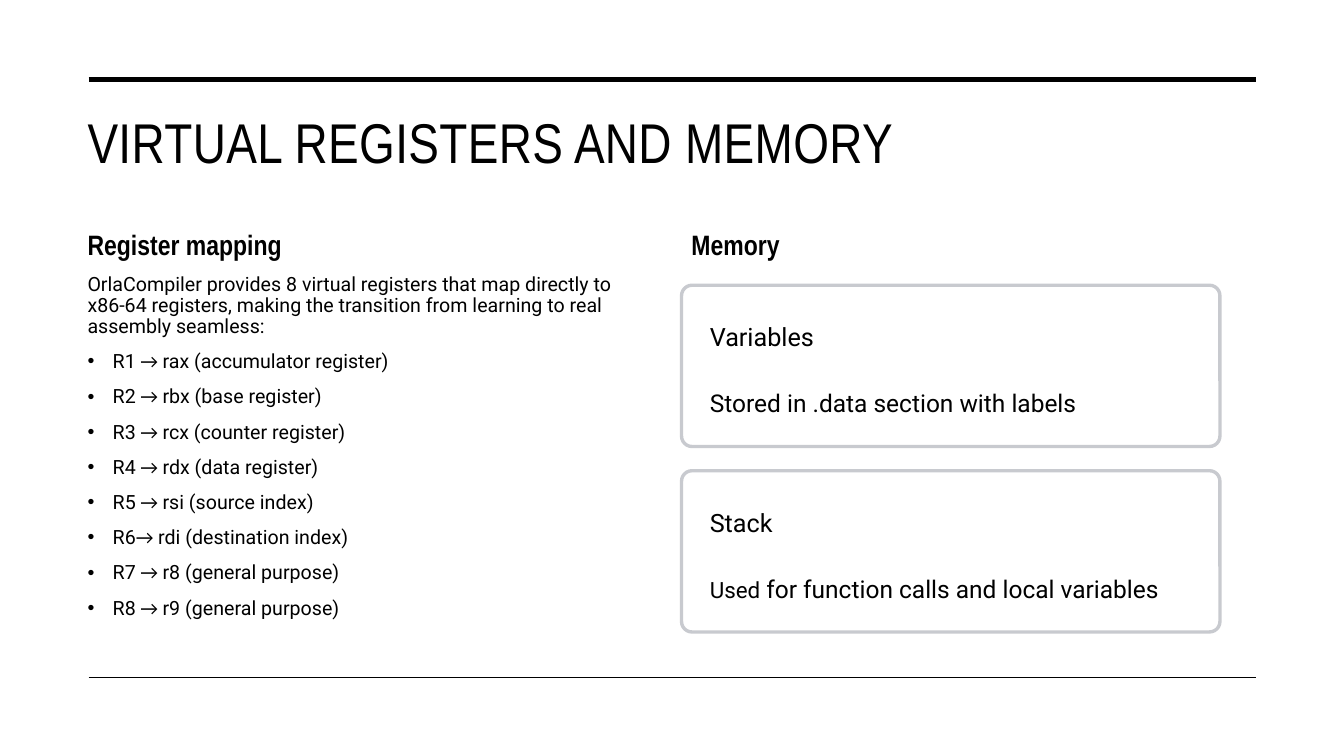
from lxml import etree
from pptx import Presentation
from pptx.dml.color import RGBColor
from pptx.enum.shapes import MSO_CONNECTOR, MSO_SHAPE
from pptx.enum.text import MSO_ANCHOR as ANCHOR
from pptx.oxml.ns import qn
from pptx.util import Inches, Pt

# Content
TITLE = "VIRTUAL REGISTERS AND MEMORY"
HEADINGS = ["Register mapping", "Memory"]
INTRO = ("OrlaCompiler provides 8 virtual registers that map directly to x86-64 "
         "registers, making the transition from learning to real assembly seamless:")
REGISTERS = [
    ("R1", " → ", "rax (accumulator register)"),
    ("R2", " → ", "rbx (base register)"),
    ("R3", " → ", "rcx (counter register)"),
    ("R4", " → ", "rdx (data register)"),
    ("R5", " → ", "rsi (source index)"),
    ("R6", "→ ", "rdi (destination index)"),
    ("R7", " → ", "r8 (general purpose)"),
    ("R8", " → ", "r9 (general purpose)"),
]
# Card name, then its description as (text, size) runs
CARDS = [
    ("Variables", [("Stored in .data section with labels", 17.5)]),
    ("Stack", [("Used", 16), (" for function calls and local variables", 17.5)]),
]

# Style
BLACK = RGBColor(0x00, 0x00, 0x00)
WHITE = RGBColor(0xFF, 0xFF, 0xFF)
BORDER = RGBColor(0xC8, 0xCA, 0xCF)
HEAD_FONT, BODY_FONT, ARROW_FONT = "Arial Narrow", "Roboto", "Calibri"

# Layout in inches
LEFT, RIGHT = 0.77, 12.46
COLUMNS, COLUMN_W = [LEFT, 6.76], 5.7
RULES = [(0.79, 3.5), (6.72, 1)]
CARD_TOP, CARD_STEP, CARD_W, CARD_H = 2.83, 1.84, 5.34, 1.6
CARD_PAD = 0.28

prs = Presentation()
prs.slide_width, prs.slide_height = Inches(13.33), Inches(7.5)
s = prs.slides.add_slide(prs.slide_layouts[6])


def add_run(p, text, size=14, font=BODY_FONT, bold=False, spacing=None):
    r = p.add_run()
    r.text = text
    r.font.size, r.font.name, r.font.bold = Pt(size), font, bold
    r.font.color.rgb = BLACK
    if spacing:
        r._r.get_or_add_rPr().set("spc", str(spacing))


def add_box(x, y, w, h, anchor=ANCHOR.TOP, wrap=True, inset=True):
    tf = s.shapes.add_textbox(Inches(x), Inches(y), Inches(w), Inches(h)).text_frame
    tf.word_wrap, tf.vertical_anchor = wrap, anchor
    if not inset:
        tf.margin_left = tf.margin_top = tf.margin_right = tf.margin_bottom = 0
    return tf


def add_bullet(p):
    pPr = p._p.get_or_add_pPr()
    pPr.set("marL", str(Inches(0.25)))
    pPr.set("indent", str(-Inches(0.25)))
    etree.SubElement(pPr, qn("a:buFont")).set("typeface", "Arial")
    etree.SubElement(pPr, qn("a:buChar")).set("char", "•")


# Rules above and below
for y, width in RULES:
    rule = s.shapes.add_connector(MSO_CONNECTOR.STRAIGHT, Inches(0.88), Inches(y),
                                  Inches(RIGHT), Inches(y))
    rule.line.color.rgb, rule.line.width = BLACK, Pt(width)
    etree.SubElement(rule._element.spPr, qn("a:effectLst"))

# Title and column headings
tf = add_box(LEFT, 1.02, RIGHT - LEFT, 0.87)
add_run(tf.paragraphs[0], TITLE, size=40, font=HEAD_FONT, spacing=30)
for x, heading in zip(COLUMNS, HEADINGS):
    p = add_box(x, 1.92, COLUMN_W, 0.72, ANCHOR.BOTTOM).paragraphs[0]
    p.line_spacing, p.space_before = 1.1, Pt(10)
    add_run(p, heading, size=20, font=HEAD_FONT, bold=True)

# Register list
tf = add_box(LEFT, 2.67, COLUMN_W, 3.85)
add_run(tf.paragraphs[0], INTRO)
for register, arrow, target in REGISTERS:
    p = tf.add_paragraph()
    add_run(p, register)
    add_run(p, arrow, font=ARROW_FONT)
    add_run(p, target)
for i, p in enumerate(tf.paragraphs):
    p.line_spacing, p.space_before = 0.9, Pt(10)
    if i:
        add_bullet(p)

# Memory cards
for i, (name, description) in enumerate(CARDS):
    x, y = COLUMNS[1], CARD_TOP + i * CARD_STEP
    card = s.shapes.add_shape(MSO_SHAPE.ROUNDED_RECTANGLE, Inches(x), Inches(y),
                              Inches(CARD_W), Inches(CARD_H))
    card.adjustments[0] = 0.065
    card.shadow.inherit = False
    card.fill.solid()
    card.fill.fore_color.rgb = WHITE
    white = card._element.spPr.find(qn("a:solidFill"))[0]
    etree.SubElement(white, qn("a:alpha")).set("val", "95000")
    card.line.color.rgb, card.line.width = BORDER, Pt(2.4)

    lines = [(0.28, 3.1, 27.5, [(name, 18)]),
             (0.92, CARD_W - 2 * CARD_PAD, 28.5, description)]
    for dy, w, spacing, runs in lines:
        tf = add_box(x + CARD_PAD, y + dy, w, 0.4, wrap=False, inset=False)
        p = tf.paragraphs[0]
        p.line_spacing = Pt(spacing)
        for text, size in runs:
            add_run(p, text, size=size)

prs.save("out.pptx")
